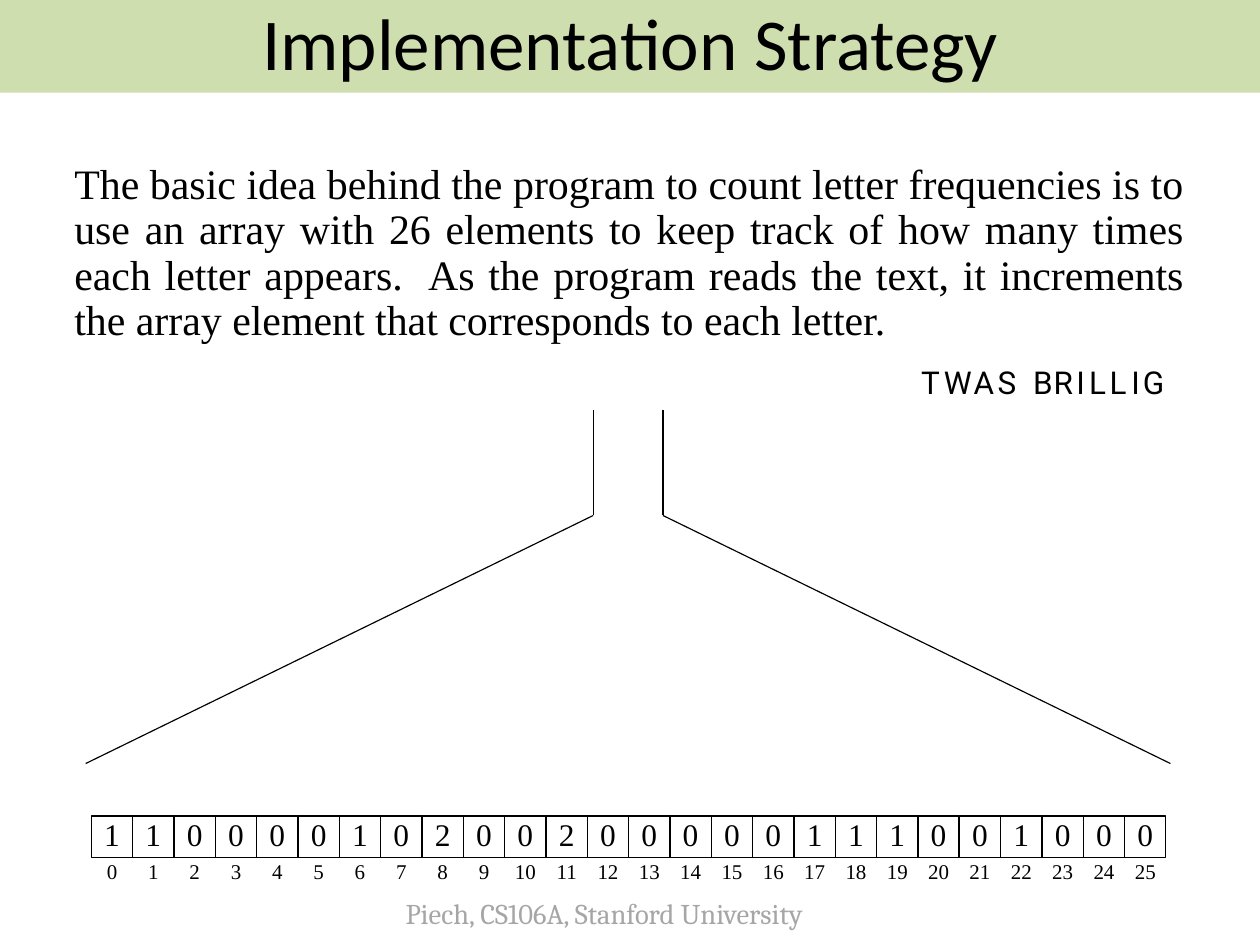
from typing import NamedTuple

from lxml.etree import SubElement
from pptx import Presentation
from pptx.dml.color import RGBColor
from pptx.enum.shapes import MSO_CONNECTOR, MSO_SHAPE
from pptx.enum.text import MSO_ANCHOR, MSO_AUTO_SIZE, PP_ALIGN
from pptx.oxml.ns import qn
from pptx.util import Inches, Pt

BLACK = RGBColor(0x00, 0x00, 0x00)
WHITE = RGBColor(0xFF, 0xFF, 0xFF)
GREEN = RGBColor(0xC3, 0xD6, 0x9B)
GRAY = RGBColor(0xA6, 0xA6, 0xA6)
SERIF = "Times New Roman"

PAGE_WIDTH, PAGE_HEIGHT = 28 / 2.54, 21 / 2.54
ARRAY_LEFT, ARRAY_TOP, CELL_SIZE = 0.8, 7.14, 0.36
CELL_PITCH = 9.04 / 25
LABEL_WIDTH = 0.48

EXPLANATION = (
    "The basic idea behind the program to count letter frequencies is to use an array "
    "with 26 elements to keep track of how many times each letter appears.  As the program "
    "reads the text, it increments the array element that corresponds to each letter."
)
COUNTS = [1, 1, 0, 0, 0, 0, 1, 0, 2, 0, 0, 2, 0,
          0, 0, 0, 0, 1, 1, 1, 0, 0, 1, 0, 0, 0]


class Area(NamedTuple):
    left: float
    top: float
    width: float
    height: float


class Style(NamedTuple):
    font: str
    size: float
    color: RGBColor = BLACK
    align: PP_ALIGN = PP_ALIGN.LEFT
    spacing: float = 1.0


class Letter(NamedTuple):
    text: str
    left: float
    width: float


class Segment(NamedTuple):
    x1: float
    y1: float
    x2: float
    y2: float


TITLE_STYLE = Style("Calibri", 46, align=PP_ALIGN.CENTER, spacing=0.93)
BODY_STYLE = Style(SERIF, 26.4, align=PP_ALIGN.JUSTIFY, spacing=0.9)
COUNT_STYLE = Style(SERIF, 19.8, align=PP_ALIGN.CENTER, spacing=0.85)
INDEX_STYLE = Style(SERIF, 13.2, align=PP_ALIGN.CENTER, spacing=0.85)
LETTER_STYLE = Style("Roboto", 19.8)
FOOTER_STYLE = Style("Cambria", 18, GRAY, spacing=0.93)

LETTERS = [
    Letter("T", 7.96, 0.39), Letter("W", 8.16, 0.45), Letter("A", 8.42, 0.4),
    Letter("S", 8.63, 0.37), Letter("B", 8.94, 0.37), Letter("R", 9.12, 0.39),
    Letter("I", 9.32, 0.3), Letter("L", 9.43, 0.37), Letter("L", 9.61, 0.37),
    Letter("I", 9.8, 0.3), Letter("G", 9.9, 0.42),
]
FUNNEL = [
    Segment(5.19, 4.51, 0.75, 6.68), Segment(5.19, 3.59, 5.19, 4.51),
    Segment(5.8, 3.59, 5.8, 4.51), Segment(5.8, 4.51, 10.24, 6.68),
]


def write(shape, text: str, style: Style, wrap: bool = True) -> None:
    frame = shape.text_frame
    frame.text = text
    frame.word_wrap = wrap
    frame.auto_size = MSO_AUTO_SIZE.NONE
    para = frame.paragraphs[0]
    para.alignment = style.align
    para.line_spacing = style.spacing
    para.space_before = Pt(0)
    for span in para.runs:
        span.font.name = style.font
        span.font.size = Pt(style.size)
        span.font.color.rgb = style.color


def place(shape, area: Area) -> None:
    shape.left, shape.top, shape.width, shape.height = map(Inches, area)


def add_text(page, area: Area, text: str, style: Style, wrap: bool = True) -> None:
    write(page.shapes.add_textbox(*map(Inches, area)), text, style, wrap)


def add_title(page) -> None:
    title = page.shapes.title
    place(title, Area(0, 0, PAGE_WIDTH, 0.81))
    title.fill.solid()
    title.fill.fore_color.rgb = GREEN
    color = title.fill._xPr.find(qn("a:solidFill")).find(qn("a:srgbClr"))
    SubElement(color, qn("a:alpha"), val="80000")
    write(title, "Implementation Strategy", TITLE_STYLE)
    title.text_frame.vertical_anchor = MSO_ANCHOR.MIDDLE


def add_body(page) -> None:
    body = page.placeholders[1]
    place(body, Area(0.55, 1.38, 9.92, 1.7))
    write(body, EXPLANATION, BODY_STYLE)
    properties = body.text_frame.paragraphs[0]._p.get_or_add_pPr()
    properties.set("marL", "0")
    properties.set("indent", "0")
    SubElement(properties, qn("a:buNone"))


def add_segment(page, segment: Segment) -> None:
    line = page.shapes.add_connector(MSO_CONNECTOR.STRAIGHT, *map(Inches, segment))
    line.line.color.rgb = BLACK
    line.line.width = Pt(0.75)
    SubElement(line._element.spPr, qn("a:effectLst"))


def add_element(page, index: int, count: int) -> None:
    left = ARRAY_LEFT + index * CELL_PITCH
    area = Area(left, ARRAY_TOP, CELL_SIZE, CELL_SIZE)
    cell = page.shapes.add_shape(MSO_SHAPE.RECTANGLE, *map(Inches, area))
    cell.shadow.inherit = False
    cell.fill.solid()
    cell.fill.fore_color.rgb = WHITE
    cell.line.color.rgb = BLACK
    cell.line.width = Pt(0.75)
    write(cell, str(count), COUNT_STYLE, wrap=False)
    cell.text_frame.vertical_anchor = MSO_ANCHOR.MIDDLE
    label_left = left + (CELL_SIZE - LABEL_WIDTH) / 2
    label = Area(label_left, ARRAY_TOP + CELL_SIZE, LABEL_WIDTH, 0.3)
    add_text(page, label, str(index), INDEX_STYLE)


def main() -> None:
    deck = Presentation()
    deck.slide_width = Inches(PAGE_WIDTH)
    deck.slide_height = Inches(PAGE_HEIGHT)
    page = deck.slides.add_slide(deck.slide_layouts[1])
    add_title(page)
    add_body(page)
    for segment in FUNNEL:
        add_segment(page, segment)
    for index, count in enumerate(COUNTS):
        add_element(page, index, count)
    for letter in LETTERS:
        area = Area(letter.left, 3.13, letter.width, 0.46)
        add_text(page, area, letter.text, LETTER_STYLE)
    footer = Area(3.45, 7.82, 3.74, 0.38)
    add_text(page, footer, "Piech, CS106A, Stanford University", FOOTER_STYLE, wrap=False)
    deck.save("out.pptx")


if __name__ == "__main__":
    main()
